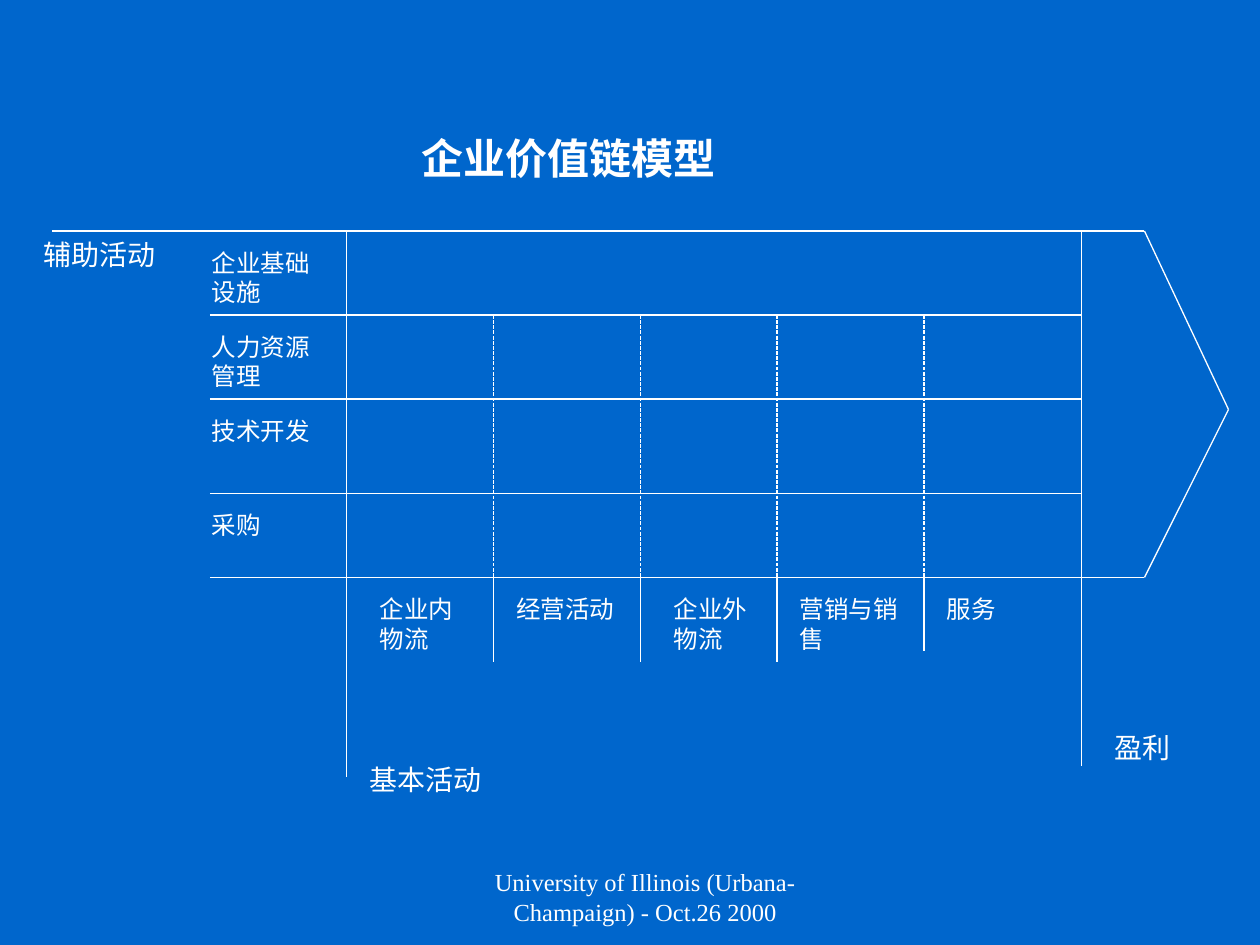
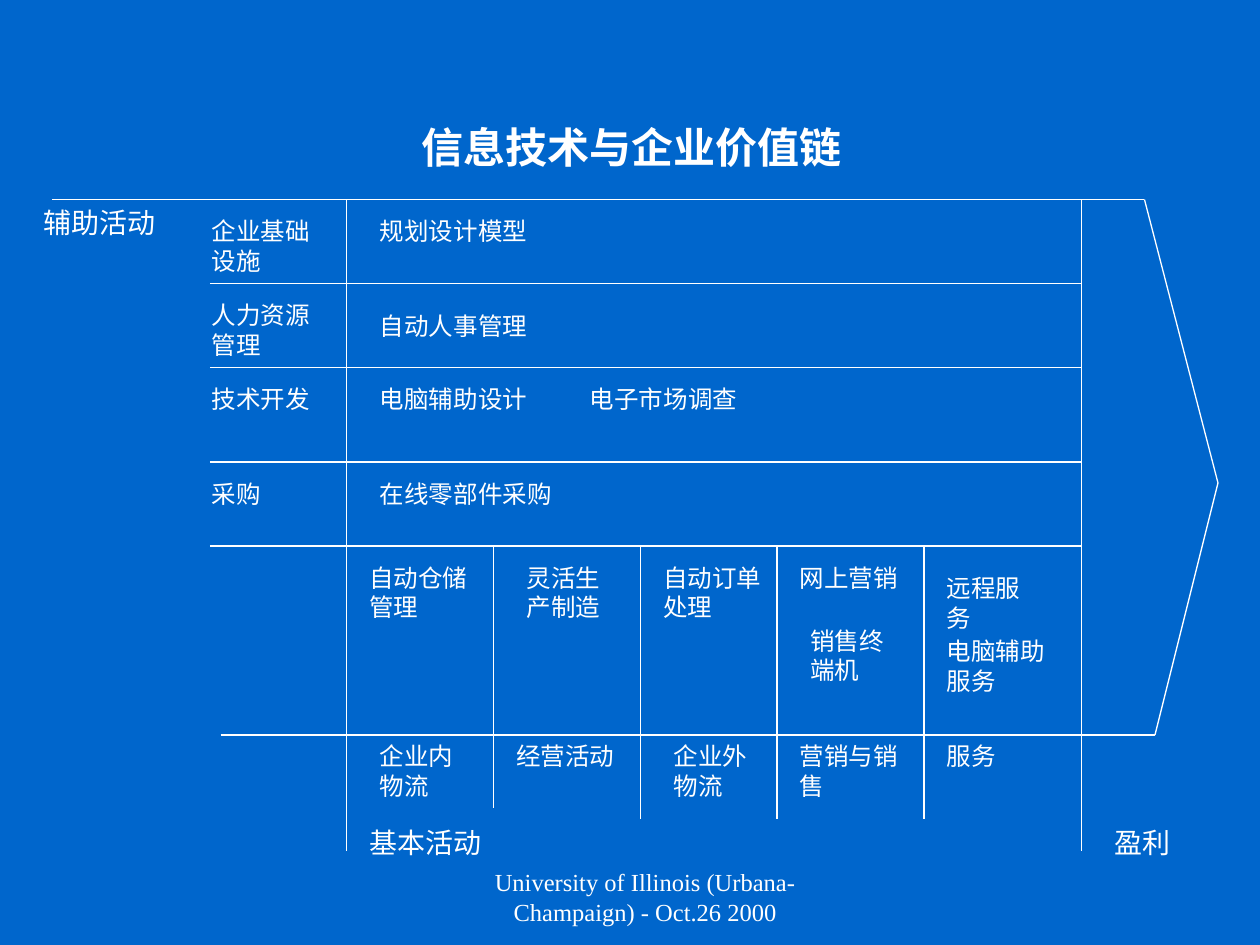
"""Build two value chain slides on a grid of twelfths of an inch."""
import math

import lxml.etree
import pptx
import pptx.dml.color
import pptx.enum.dml
import pptx.enum.shapes
import pptx.enum.text
import pptx.oxml.ns
import pptx.util

BLUE = "0066CC"
WHITE = "FFFFFF"
FONT = "Times New Roman"
UNIT = pptx.util.Cm(2.54) / 12
INSET = 1.2
BODY_SIZE, HEADING_SIZE, TITLE_SIZE = 14, 16, 24
color = pptx.dml.color.RGBColor.from_string


def add_text(slide, text, left, top, width, height=None, size=BODY_SIZE, bold=False,
             align=pptx.enum.text.PP_ALIGN.LEFT, indent=0):
    lines = math.ceil(len(text) * size / 6 / (width - 2 * INSET))
    fitted = height is None
    height = 2 * INSET / 2 + lines * size * 0.2 if fitted else height
    shape = slide.shapes.add_textbox(*[round(value * UNIT) for value in (left, top, width, height)])
    frame = shape.text_frame
    frame.word_wrap = True
    if fitted:
        frame.auto_size = pptx.enum.text.MSO_AUTO_SIZE.SHAPE_TO_FIT_TEXT
    frame.margin_left = round((INSET + indent) * UNIT)
    paragraph = frame.paragraphs[0]
    paragraph.alignment = align
    run = paragraph.add_run()
    run.text = text
    run.font.name = FONT
    run.font.size = pptx.util.Pt(size)
    run.font.bold = bold
    run.font.color.rgb = color(WHITE)


def add_line(slide, start, end, dash=None):
    connector = slide.shapes.add_connector(
        pptx.enum.shapes.MSO_CONNECTOR.STRAIGHT,
        *[round(value * UNIT) for value in (*start, *end)])
    connector.line.color.rgb = color(WHITE)
    connector.line.width = pptx.util.Pt(0.75)
    if dash is not None:
        connector.line.dash_style = dash
    properties = connector._element.spPr
    lxml.etree.SubElement(properties, pptx.oxml.ns.qn("a:effectLst"))


LABEL_X, SPINE_X, MARGIN_X, ARROW_X = 20, 33, 103, 109
ROW_OFFSETS = [0, 8, 16, 25, 33]
DIVIDERS = [47, 61, 74, 88]
SUPPORT_ACTIVITIES = [("企业基础设施", 12), ("人力资源管理", 14), ("技术开发", 12), ("采购", 11)]
PRIMARY_ACTIVITIES = [("企业内物流", 35, 11), ("经营活动", 48, 14), ("企业外物流", 63, 11),
                      ("营销与销售", 75, 12), ("服务", 89, 13)]
CHAINS = [
    {"title": "企业价值链模型", "title_top": 12, "title_width": 48, "top": 22,
     "arrow": [(109, 22), (117, 39), (109, 55)], "base": (20, 55),
     "spine_end": 74, "margin_end": 73, "divider_ends": [63, 63, 63, 62],
     "primary_top": 56, "primary_heading_top": 72, "profit_top": 69,
     "dotted": True, "applications": []},
    {"title": "信息技术与企业价值链", "title_top": 11, "title_width": 51, "top": 19,
     "arrow": [(109, 19), (116, 46), (110, 70)], "base": (21, 70),
     "spine_end": 81, "margin_end": 81, "divider_ends": [77, 78, 78, 78],
     "primary_top": 70, "primary_heading_top": 78, "profit_top": 78,
     "dotted": False, "applications": [
         ("规划设计模型", 35, 20, 22), ("自动人事管理", 35, 29, 26),
         ("电脑辅助设计", 35, 36, 20), ("电子市场调查", 55, 36, 21),
         ("在线零部件采购", 35, 45, 23), ("自动仓储管理", 34, 53, 12),
         ("灵活生产制造", 49, 53, 10), ("自动订单处理", 62, 53, 12),
         ("网上营销", 75, 53, 12), ("销售终端机", 76, 59, 11),
         ("远程服务", 89, 54, 11), ("电脑辅助服务", 89, 60, 12)]},
]

presentation = pptx.Presentation()
presentation.slide_width = pptx.util.Cm(25.4)
presentation.slide_height = pptx.util.Cm(19.05)

for chain in CHAINS:
    slide = presentation.slides.add_slide(presentation.slide_layouts[6])
    slide.background.fill.solid()
    slide.background.fill.fore_color.rgb = color(BLUE)
    top = chain["top"]
    rows = [top + offset for offset in ROW_OFFSETS]

    add_line(slide, (5, top), (ARROW_X, top))
    for y in rows[1:]:
        if y != chain["base"][1]:
            add_line(slide, (LABEL_X, y), (MARGIN_X, y))
    add_line(slide, chain["base"], chain["arrow"][-1])
    add_line(slide, (SPINE_X, top), (SPINE_X, chain["spine_end"]))
    add_line(slide, (MARGIN_X, top), (MARGIN_X, chain["margin_end"]))
    for start, end in zip(chain["arrow"], chain["arrow"][1:]):
        add_line(slide, start, end)
    for x, bottom in zip(DIVIDERS, chain["divider_ends"]):
        if chain["dotted"]:
            add_line(slide, (x, rows[1]), (x, rows[-1]),
                     dash=pptx.enum.dml.MSO_LINE.SQUARE_DOT)
        add_line(slide, (x, rows[-1]), (x, bottom))

    add_text(slide, chain["title"], 39, chain["title_top"], chain["title_width"],
             size=TITLE_SIZE, bold=True)
    add_text(slide, "辅助活动", 3, top, 18, size=HEADING_SIZE)
    add_text(slide, "基本活动", 34, chain["primary_heading_top"], 24, size=HEADING_SIZE)
    add_text(slide, "盈利", 105, chain["profit_top"], 11, size=HEADING_SIZE)
    for (name, width), y in zip(SUPPORT_ACTIVITIES, rows):
        add_text(slide, name, 19, y + 1, width)
    for name, left, width in PRIMARY_ACTIVITIES:
        add_text(slide, name, left, chain["primary_top"], width)
    for name, left, y, width in chain["applications"]:
        add_text(slide, name, left, y, width)
    add_text(slide, "University of Illinois (Urbana-Champaign) - Oct.26 2000", 41, 82, 38,
             height=6, align=pptx.enum.text.PP_ALIGN.CENTER, indent=2.88)

presentation.save("out.pptx")
